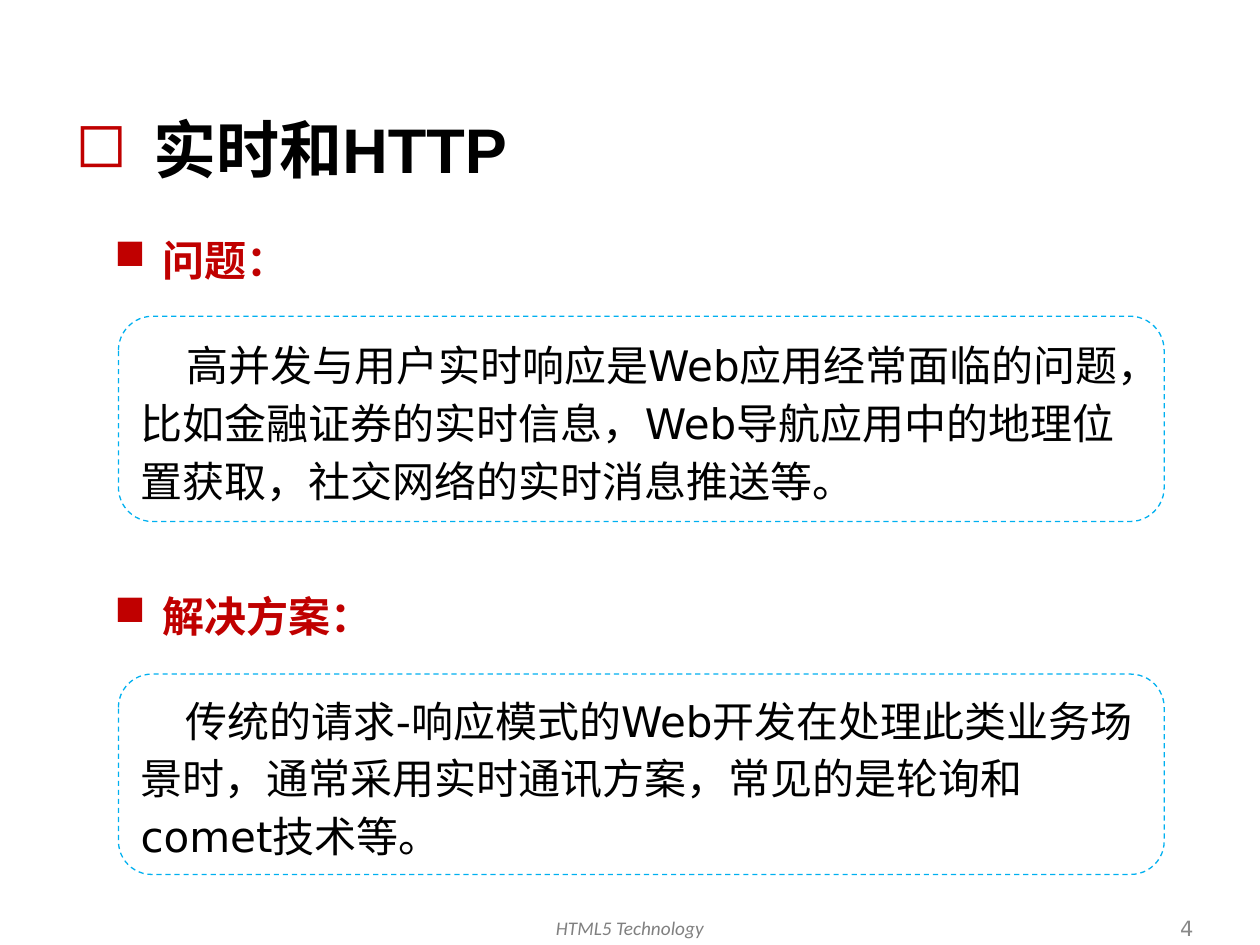
"""Build the slide on real-time needs and HTTP."""
from lxml import etree
from pptx import Presentation
from pptx.dml.color import RGBColor
from pptx.enum.dml import MSO_LINE
from pptx.enum.shapes import MSO_SHAPE
from pptx.enum.text import MSO_ANCHOR, PP_ALIGN
from pptx.oxml.ns import qn
from pptx.util import Inches, Pt

ROUND = MSO_SHAPE.ROUNDED_RECTANGLE
DASH = MSO_LINE.DASH
TOP, MIDDLE = MSO_ANCHOR.TOP, MSO_ANCHOR.MIDDLE
LEFT, CENTER, RIGHT = PP_ALIGN.LEFT, PP_ALIGN.CENTER, PP_ALIGN.RIGHT

THEME = {
    "red": RGBColor(0xC0, 0x00, 0x00),
    "edge": RGBColor(0x00, 0xB0, 0xF0),
    "title": {"name": "Arial", "size": Pt(36), "bold": True, "color": "000000"},
    "head": {"name": "DejaVu Sans", "size": Pt(24), "bold": True, "color": "C00000"},
    "body": {"name": "DejaVu Sans", "size": Pt(24), "color": "000000"},
    "foot": {"name": "Calibri", "size": Pt(11), "italic": True, "color": "808080"},
    "page": {"name": "DejaVu Sans", "size": Pt(12), "color": "898989"},
}


def write(shape, text, style, align=LEFT, anchor=TOP, wrap=True):
    frame = shape.text_frame
    frame.word_wrap = wrap
    frame.vertical_anchor = anchor
    para = frame.paragraphs[0]
    para.alignment = align
    run = para.add_run()
    run.text = text
    for key, value in THEME[style].items():
        if key == "color":
            run.font.color.rgb = RGBColor.from_string(value)
        else:
            setattr(run.font, key, value)
    return para


def mark(para, sign, indent):
    props = para._p.get_or_add_pPr()
    props.set("marL", str(Inches(indent)))
    props.set("indent", str(-Inches(indent)))
    tint = etree.SubElement(props, qn("a:buClr"))
    etree.SubElement(tint, qn("a:srgbClr"), val=str(THEME["red"]))
    etree.SubElement(props, qn("a:buChar"), char=sign)


deck = Presentation()
deck.slide_width, deck.slide_height = Inches(10), Inches(7.5)
slide = deck.slides.add_slide(deck.slide_layouts[6])
shapes = slide.shapes

title = shapes.add_textbox(Inches(0.5), Inches(0.83), Inches(9.44), Inches(0.98))
mark(write(title, "实时和HTTP", "title"), "◻", 0.62)

foot = shapes.add_textbox(Inches(3.22), Inches(7.22), Inches(3.56), Inches(0.33))
write(foot, "HTML5 Technology", "foot", CENTER)
page = shapes.add_textbox(Inches(7.32), Inches(7.22), Inches(2.25), Inches(0.29))
write(page, "4", "page", RIGHT, MIDDLE)

PARTS = [
    ("问题：", 1.81, 1.6, 2.51, 1.63,
     "高并发与用户实时响应是Web应用经常面临的问题，比如金融证券的实时信息，"
     "Web导航应用中的地理位置获取，社交网络的实时消息推送等。"),
    ("解决方案：", 4.64, 2.27, 5.35, 1.59,
     "传统的请求-响应模式的Web开发在处理此类业务场景时，通常采用实时通讯方案，"
     "常见的是轮询和comet技术等。"),
]
for head, y, width, top, height, text in PARTS:
    panel = shapes.add_shape(ROUND, Inches(0.94), Inches(top), Inches(8.3), Inches(height))
    panel.shadow.inherit = False
    panel.fill.background()
    panel.line.color.rgb = THEME["edge"]
    panel.line.width = Pt(0.75)
    panel.line.dash_style = DASH
    para = write(panel, text, "body", anchor=MIDDLE)
    para.line_spacing = Pt(33)
    para._p.get_or_add_pPr().set("indent", str(Inches(0.36)))

    label = shapes.add_textbox(Inches(0.81), Inches(y), Inches(width), Inches(0.5))
    mark(write(label, head, "head", wrap=False), "■", 0.38)

deck.save("out.pptx")
